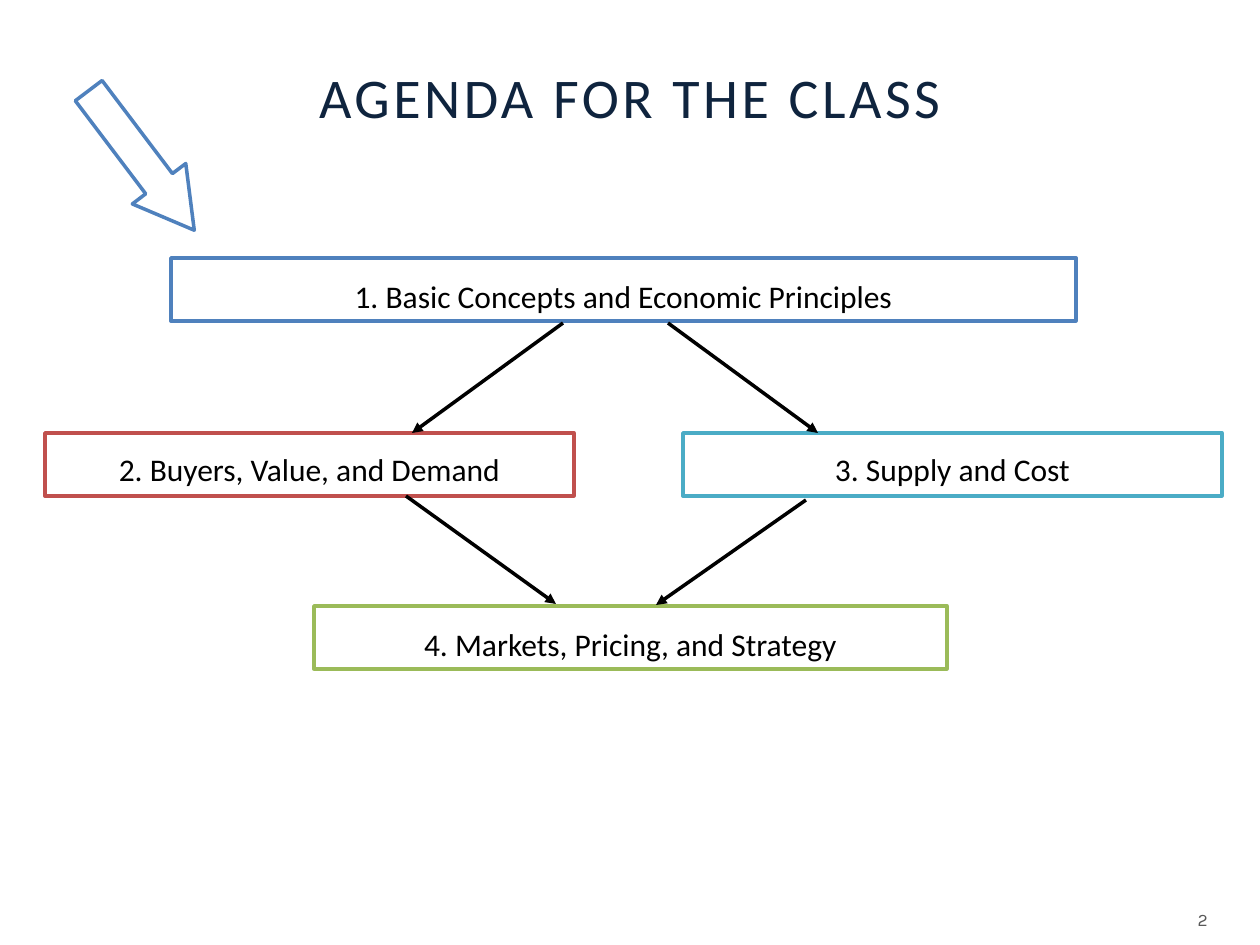
from dataclasses import dataclass

from lxml.etree import SubElement as Sub
from pptx import Presentation
from pptx.dml.color import RGBColor as Rgb
from pptx.enum.shapes import MSO_CONNECTOR as Wire, MSO_SHAPE as Kind
from pptx.enum.text import MSO_ANCHOR as Anchor, PP_ALIGN as Align
from pptx.oxml.ns import qn
from pptx.util import Emu, Pt


@dataclass(frozen=True)
class Theme:
    font: str = "Calibri"
    foot: str = "Karla"
    navy: str = "0F243E"
    black: str = "000000"
    white: str = "FFFFFF"
    gray: str = "595959"
    blue: str = "4F81BD"
    red: str = "C0504D"
    teal: str = "4BACC6"
    green: str = "9BBB59"
    head: int = 32
    label: int = 18
    note: int = 10
    lead: float = 29.5
    line: int = 2


THEME = Theme()
SCALE = 914400 / 126


def px(*nums):
    return [Emu(round(n * SCALE)) for n in nums]


def write(frame, text, size, color, font=THEME.font, align=Align.CENTER, gap=0):
    para = frame.paragraphs[0]
    para.alignment = align
    run = para.add_run()
    run.text = text
    run.font.size = Pt(size)
    run.font.name = font
    run.font.color.rgb = Rgb.from_string(color)
    if gap:
        run.font._element.set("spc", str(gap * 100))
    return para


def outline(shape, color):
    shape.shadow.inherit = False
    shape.fill.solid()
    shape.fill.fore_color.rgb = Rgb.from_string(THEME.white)
    shape.line.color.rgb = Rgb.from_string(color)
    shape.line.width = Pt(THEME.line)


def title(slide, box):
    shape = slide.shapes.title
    shape.left, shape.top, shape.width, shape.height = px(*box)
    frame = shape.text_frame
    frame.vertical_anchor = Anchor.MIDDLE
    write(frame, "AGENDA FOR THE CLASS", THEME.head, THEME.navy, gap=2)


def topic(slide, box, text, color, anchor):
    shape = slide.shapes.add_shape(Kind.RECTANGLE, *px(*box))
    outline(shape, color)
    frame = shape.text_frame
    frame.word_wrap = False
    frame.vertical_anchor = anchor
    frame.margin_left = frame.margin_right = Pt(1.5)
    frame.margin_top = frame.margin_bottom = Pt(2)
    para = write(frame, text, THEME.label, THEME.black)
    para.line_spacing = Pt(THEME.lead)


def link(slide, ends):
    wire = slide.shapes.add_connector(Wire.STRAIGHT, *px(*ends))
    wire.line.color.rgb = Rgb.from_string(THEME.black)
    wire.line.width = Pt(THEME.line)
    Sub(wire.line._get_or_add_ln(), qn("a:tailEnd"), type="triangle")
    Sub(wire._element.spPr, qn("a:effectLst"))


def flow(slide, box):
    left, top, width, height = box
    tall = 63
    mid, low = 175, height - tall
    topics = [
        (126, 0, 905, "1. Basic Concepts and Economic Principles", THEME.blue, Anchor.MIDDLE),
        (269, low, 633, "4. Markets, Pricing, and Strategy", THEME.green, Anchor.MIDDLE),
        (0, mid, 529, "2. Buyers, Value, and Demand", THEME.red, Anchor.TOP),
        (width - 539, mid, 539, "3. Supply and Cost", THEME.teal, Anchor.TOP),
    ]
    links = [
        (361, mid + tall, 511, low - 2),
        (761, mid + tall + 4, 611, low - 1),
        (518, tall + 2, 367, mid),
        (623, tall + 2, 773, mid),
    ]
    for x, y, wide, text, color, anchor in topics:
        topic(slide, (left + x, top + y, wide, tall), text, color, anchor)
    for x1, y1, x2, y2 in links:
        link(slide, (left + x1, top + y1, left + x2, top + y2))


def pointer(slide, box):
    shape = slide.shapes.add_shape(Kind.RIGHT_ARROW, *px(*box))
    outline(shape, THEME.blue)
    shape.adjustments[0] = 0.5
    shape.adjustments[1] = 0.87
    shape.rotation = 52.9


def number(slide, box):
    frame = slide.shapes.add_textbox(*px(*box)).text_frame
    frame.word_wrap = True
    frame.vertical_anchor = Anchor.MIDDLE
    write(frame, "2", THEME.note, THEME.gray, THEME.foot, Align.RIGHT, 3)


def main():
    deck = Presentation()
    deck.slide_width, deck.slide_height = px(1260, 945)
    slide = deck.slides.add_slide(deck.slide_layouts[5])
    title(slide, (63, 18, 1134, 157))
    flow(slide, (45, 258, 1177, 411))
    pointer(slide, (54, 127, 175, 67))
    number(slide, (926, 895, 294, 50))
    deck.save("out.pptx")


if __name__ == "__main__":
    main()
